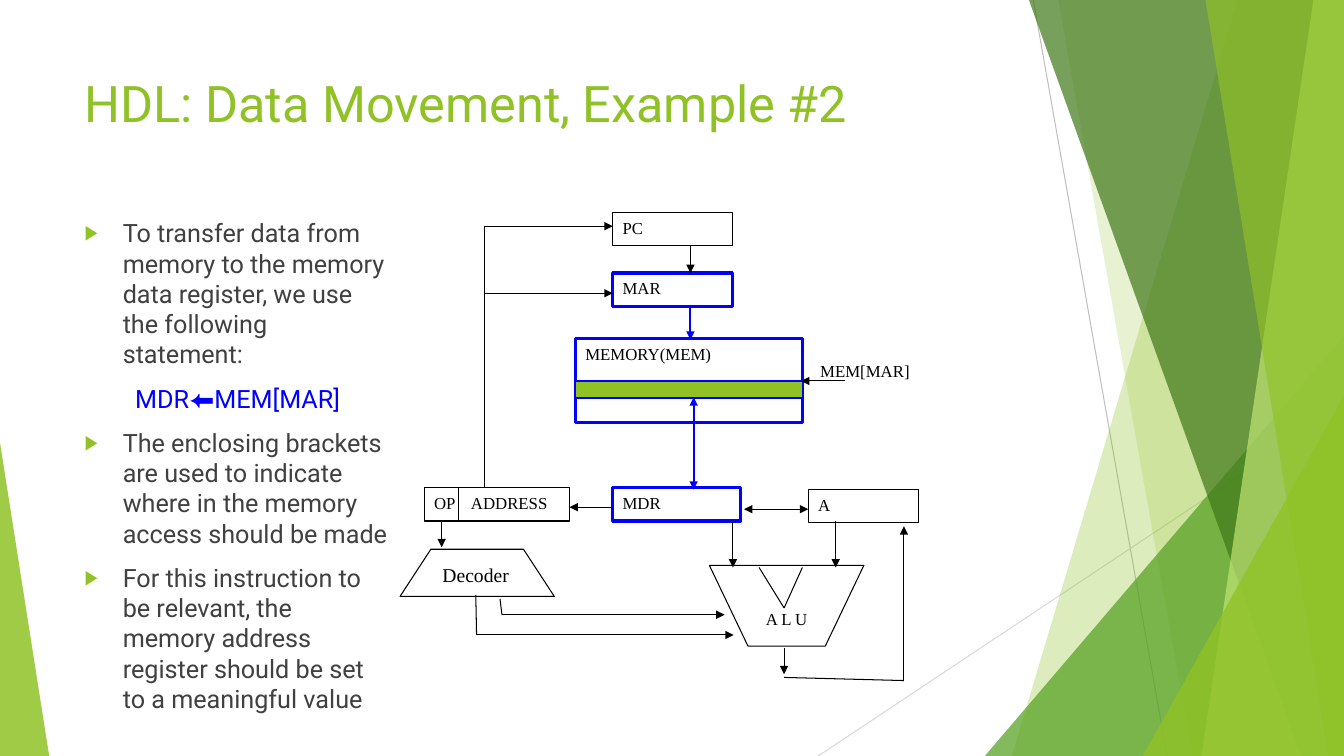
"""Builds the slide on moving data from memory to the memory data register."""
from lxml.etree import SubElement
from pptx import Presentation
from pptx.dml.color import RGBColor
from pptx.enum.shapes import MSO_CONNECTOR as Link, MSO_SHAPE as Preset
from pptx.enum.text import MSO_ANCHOR as Anchor, MSO_AUTO_SIZE as Fit, PP_ALIGN as Align
from pptx.oxml.ns import qn
from pptx.util import Cm, Pt

GREEN, BLUE, BLACK, WHITE, GREY = "90C226", "0000FF", "000000", "FFFFFF", "404040"
WIDTH, HEIGHT = 33.87, 19.05
SERIF, SANS = "Times New Roman", "Roboto"


def paint(shape, fill, line=None, width=0.75, alpha=100):
    """Give a shape its fill, outline and transparency, without a shadow."""
    shape.shadow.inherit = False
    shape.fill.solid()
    shape.fill.fore_color.rgb = RGBColor.from_string(fill)
    if alpha < 100:
        color = shape.element.spPr.find(qn("a:solidFill"))[0]
        SubElement(color, qn("a:alpha"), val=str(alpha * 1000))
    if line:
        shape.line.color.rgb = RGBColor.from_string(line)
        shape.line.width = Pt(width)
    else:
        shape.line.fill.background()


def wire(x1, y1, x2, y2, ends=(), color=BLACK, width=0.75):
    """Draw a straight line with arrowheads at the named ends."""
    line = shapes.add_connector(Link.STRAIGHT, Cm(x1), Cm(y1), Cm(x2), Cm(y2))
    line.line.color.rgb = RGBColor.from_string(color)
    line.line.width = Pt(width)
    properties = line.element.spPr
    for end in ends:
        SubElement(properties.find(qn("a:ln")), qn(f"a:{end}"), type="triangle")
    SubElement(properties, qn("a:effectLst"))


deck = Presentation()
deck.slide_width, deck.slide_height = Cm(WIDTH), Cm(HEIGHT)
slide = deck.slides.add_slide(deck.slide_layouts[1])
shapes = slide.shapes

wire(26.04, 0, 29.41, HEIGHT, color="BFBFBF")
wire(WIDTH, 10.24, 20.62, HEIGHT, color="D9D9D9")

facets = [
    ("band", 31.19, 25.5, GREEN, 30),
    ("band", 26.67, 30.05, GREEN, 20),
    ("corner", (24.82, 8.46, 9.05), 1, "54A021", 72),
    ("band", 25.93, 32.79, "3F7819", 70),
    ("band", 33.1, 30.28, "C0E474", 70),
    ("band", 30.38, 33.48, GREEN, 65),
    ("corner", (28.8, 9.98, 5.07), 1, GREEN, 80),
    ("corner", (0, 11.15, 1.24), 0, GREEN, 85),
]
for kind, first, second, color, alpha in facets:
    if kind == "band":
        outline = shapes.build_freeform(Cm(first), 0)
        outline.add_line_segments(
            [(Cm(x), Cm(y)) for x, y in ((WIDTH, 0), (WIDTH, HEIGHT), (second, HEIGHT))])
        facet = outline.convert_to_shape()
    else:
        left, top, width = first
        facet = shapes.add_shape(Preset.ISOSCELES_TRIANGLE, Cm(left), Cm(top),
                                 Cm(width), Cm(HEIGHT - top))
        facet.adjustments[0] = second
    paint(facet, color, alpha=alpha)

title, body = shapes.title, slide.placeholders[1]
places = [(title, (1.88, 1.7, 23.88, 3.66)), (body, (1.88, 5.36, 8.18, 12.78))]
for holder, place in places:
    for side, value in zip(("left", "top", "width", "height"), place):
        setattr(holder, side, Cm(value))
    for name, value in dict(word_wrap=True, auto_size=Fit.NONE,
                            vertical_anchor=Anchor.TOP).items():
        setattr(holder.text_frame, name, value)

statement = [("MDR", SANS, BLUE), ("\u2b05", "Arial", BLUE), ("MEM[MAR]", SANS, BLUE)]
lines = [
    [("To transfer data from memory to the memory data register, "
      "we use the following statement:", SANS, GREY)],
    statement,
    [("The enclosing brackets are used to indicate where in the memory "
      "access should be made", SANS, GREY)],
    [("For this instruction to be relevant, the memory address register "
      "should be set to a meaningful value", SANS, GREY)],
]
heading = title.text_frame.paragraphs[0]
paragraphs = [(heading, [("HDL: Data Movement, Example #2", SANS, GREEN)], 36)]
for number, line in enumerate(lines):
    frame = body.text_frame
    paragraph = frame.add_paragraph() if number else frame.paragraphs[0]
    paragraph.space_before = Pt(10)
    layout = paragraph._p.get_or_add_pPr()
    if line is statement:
        layout.set("marL", str(Cm(1.27)))
        layout.set("indent", "0")
        SubElement(layout, qn("a:buNone"))
    else:
        layout.set("marL", str(Cm(0.96)))
        layout.set("indent", str(Cm(-0.96)))
        SubElement(SubElement(layout, qn("a:buClr")), qn("a:srgbClr"), val=GREEN)
        SubElement(layout, qn("a:buSzPct"), val="80000")
        SubElement(layout, qn("a:buFont"), typeface="Arial")
        SubElement(layout, qn("a:buChar"), char="\u25b6")
    paragraphs.append((paragraph, line, 18))
heading.alignment = Align.LEFT

labels = []
registers = [
    ("PC", 15.44, 5.36, 3.02, 0.84, WHITE, BLACK, 0.75),
    ("MAR", 15.44, 6.88, 3.02, 0.84, WHITE, BLUE, 2.25),
    ("MDR", 15.44, 12.29, 3.23, 0.84, WHITE, BLUE, 2.25),
    ("OP\tADDRESS", 10.69, 12.29, 3.66, 0.84, WHITE, BLACK, 0.75),
    ("MEMORY(MEM)", 14.5, 8.53, 5.72, 2.11, WHITE, BLUE, 2.25),
    ("A", 20.37, 12.34, 2.79, 0.84, WHITE, BLACK, 0.75),
    ("", 14.5, 9.6, 5.72, 0.43, GREEN, BLUE, 1),
]
for text, left, top, width, height, fill, line, weight in registers:
    register = shapes.add_shape(Preset.RECTANGLE, Cm(left), Cm(top), Cm(width), Cm(height))
    paint(register, fill, line, weight)
    if text:
        labels.append((register, text, 12))

decoder = shapes.add_shape(Preset.FLOWCHART_MANUAL_OPERATION,
                           Cm(10.08), Cm(13.84), Cm(3.89), Cm(1.19))
decoder.rotation = 180
paint(decoder, WHITE, BLACK)

outline = shapes.build_freeform(Cm(17.88), Cm(14.25))
outline.add_line_segments(
    [(Cm(x), Cm(y)) for x, y in ((18.85, 16.28), (20.8, 16.28), (21.77, 14.25))])
alu = outline.convert_to_shape()
paint(alu, WHITE, BLACK)
labels.append((alu, "A L U", 12))

for text, left, top, width, height, size in [("Decoder", 10.9, 14.05, 2.34, 0.86, 14),
                                             ("MEM[MAR]", 20.42, 8.97, 3.38, 0.76, 12)]:
    caption = shapes.add_textbox(Cm(left), Cm(top), Cm(width), Cm(height))
    labels.append((caption, text, size))

label_format = dict(word_wrap=True, vertical_anchor=Anchor.TOP, margin_left=Cm(0.25),
                    margin_right=Cm(0.25), margin_top=Cm(0.13), margin_bottom=Cm(0.13))
for shape, text, size in labels:
    for name, value in label_format.items():
        setattr(shape.text_frame, name, value)
    paragraph = shape.text_frame.paragraphs[0]
    paragraph.alignment = Align.LEFT
    if "\t" in text:
        stops = SubElement(paragraph._p.get_or_add_pPr(), qn("a:tabLst"))
        SubElement(stops, qn("a:tab"), pos=str(Cm(0.93)), algn="l")
    paragraphs.append((paragraph, [(text, SERIF, BLACK)], size))
alu.text_frame.vertical_anchor = Anchor.MIDDLE
alu.text_frame.margin_top = Cm(0.79)
alu.text_frame.paragraphs[0].alignment = Align.CENTER

for paragraph, runs, size in paragraphs:
    for text, face, color in runs:
        run = paragraph.add_run()
        run.text = text
        run.font.name, run.font.size = face, Pt(size)
        run.font.color.rgb = RGBColor.from_string(color)

plain_wires = [
    (12.22, 12.29, 12.22, 5.7), (19.13, 14.3, 19.76, 15.32), (20.22, 14.3, 19.76, 15.32),
    (11.56, 12.29, 11.56, 13.13), (12.6, 15.09, 12.65, 15.49), (11.99, 14.99, 12.01, 16),
    (19.76, 17.07, 22.78, 17.15),
]
arrows = [
    (17.4, 6.2, 17.4, 6.88), (12.22, 5.7, 15.44, 5.7), (12.22, 7.39, 15.44, 7.39),
    (15.44, 12.78, 14.35, 12.78), (19.76, 16.33, 19.76, 16.99), (18.47, 13.13, 18.47, 14.3),
    (21.06, 13.13, 21.06, 14.3), (11.13, 13.13, 11.13, 13.79), (12.65, 15.49, 18.26, 15.49),
    (12.01, 16, 18.49, 16), (21.29, 9.6, 20.19, 9.6), (22.78, 17.17, 22.78, 13.26),
]
for ends in plain_wires:
    wire(*ends)
for ends in arrows:
    wire(*ends, ["tailEnd"])
wire(18.75, 12.83, 20.37, 12.83, ["headEnd", "tailEnd"])
wire(17.4, 7.72, 17.4, 8.56, ["tailEnd"], BLUE, 1.5)
wire(17.48, 10.01, 17.48, 12.34, ["headEnd", "tailEnd"], BLUE, 1.5)

deck.save("out.pptx")
